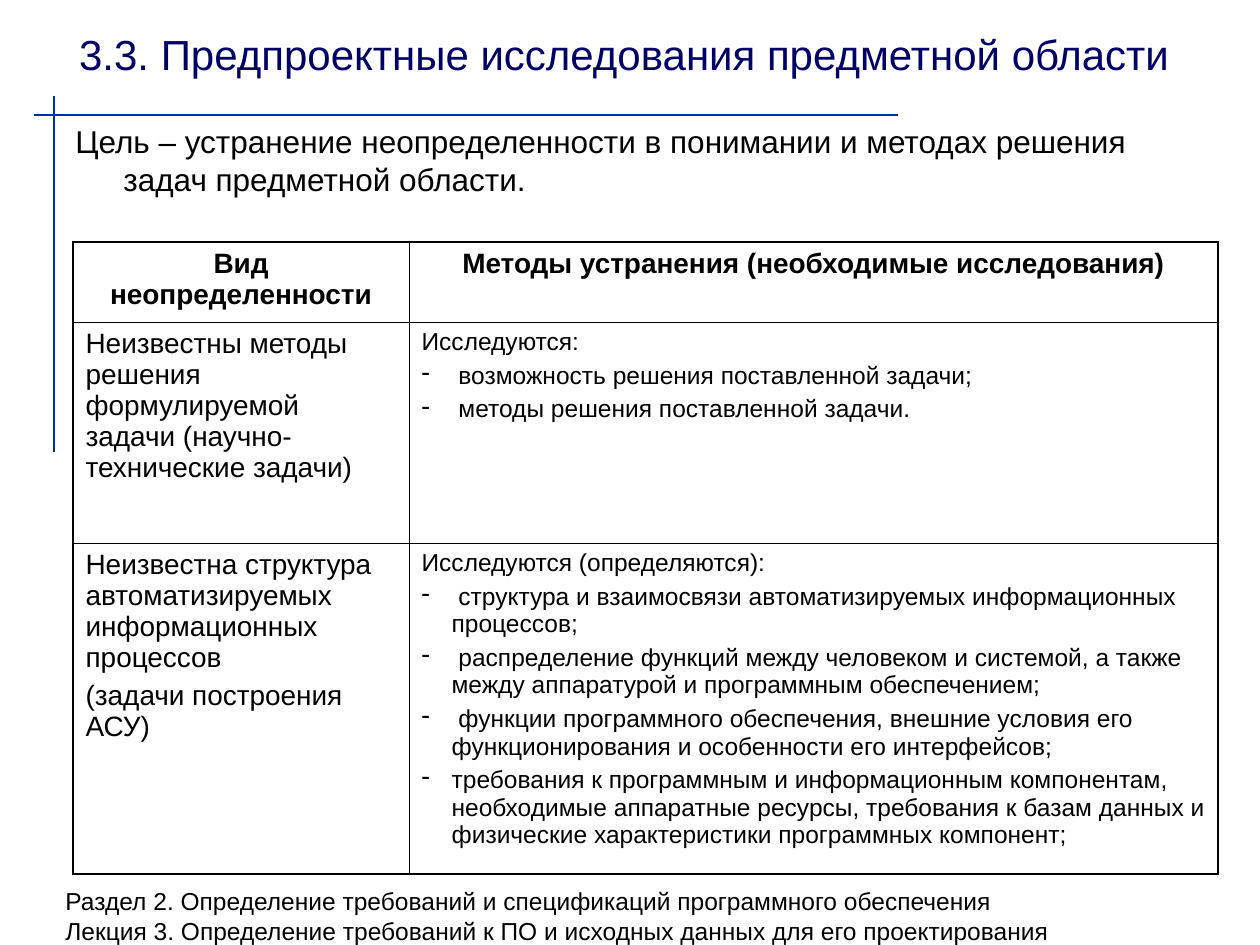
from dataclasses import dataclass

from lxml.etree import SubElement
from pptx import Presentation
from pptx.dml.color import RGBColor
from pptx.enum.shapes import MSO_CONNECTOR as Connector
from pptx.enum.text import MSO_ANCHOR as Anchor, PP_ALIGN as Align
from pptx.oxml.ns import qn
from pptx.util import Emu, Pt

PX = 914400 / 126
BLACK = RGBColor(0x00, 0x00, 0x00)
NAVY = RGBColor(0x00, 0x00, 0x66)
RULE_BLUE = RGBColor(0x00, 0x33, 0x99)
FONT = "Arial"
OUTER_PT, INNER_PT = 1.08, 0.45
DASH_INDENT = 30
BODY_INDENT = 48
COLUMNS = (336, 809)
ROWS = (80, 221, 330)


@dataclass(frozen=True)
class Line:
    text: str
    size: int
    color: RGBColor = BLACK
    bold: bool = False
    align: Align = Align.LEFT
    hanging: int = 0
    dash: bool = False
    before: float = 0


@dataclass(frozen=True)
class TextBlock:
    left: int
    top: int
    width: int
    height: int
    lines: tuple[Line, ...]
    anchor: Anchor = Anchor.TOP


@dataclass(frozen=True)
class Rule:
    x1: int
    y1: int
    x2: int
    y2: int


def px(length: int) -> Emu:
    return Emu(round(length * PX))


def heading(text: str) -> Line:
    return Line(text, 16, bold=True, align=Align.CENTER)


def kind(text: str, before: float = 0) -> Line:
    return Line(text, 16, before=before)


def study(text: str) -> Line:
    return Line(text, 14, hanging=DASH_INDENT, dash=True, before=3.5)


RULES = (Rule(34, 115, 898, 115), Rule(54, 96, 54, 452))

BLOCKS = (
    TextBlock(53, 880, 1165, 65, (
        Line("Раздел 2. Определение требований и спецификаций программного обеспечения", 14),
        Line("Лекция 3. Определение требований к ПО и исходных данных для его проектирования", 14),
    )),
    TextBlock(63, 10, 1134, 87, (
        Line("3.3. Предпроектные исследования предметной области ", 24, NAVY, align=Align.CENTER),
    ), Anchor.MIDDLE),
    TextBlock(63, 116, 1134, 139, (
        Line("Цель – устранение неопределенности в понимании и методах решения "
             "задач предметной области.", 18, hanging=BODY_INDENT),
    )),
)

UNCERTAINTIES = (
    ((heading("Вид неопределенности"),),
     (heading("Методы устранения (необходимые исследования)"),)),
    ((kind("Неизвестны методы решения формулируемой задачи (научно-технические задачи)"),),
     (Line("Исследуются:", 14),
      study(" возможность решения поставленной задачи;"),
      study(" методы решения поставленной задачи."))),
    ((kind("Неизвестна структура автоматизируемых информационных процессов"),
      kind("(задачи построения АСУ)", before=4)),
     (Line("Исследуются (определяются):", 14),
      study(" структура и взаимосвязи автоматизируемых информационных процессов;"),
      study(" распределение функций между человеком и системой, а также "
            "между аппаратурой и программным обеспечением;"),
      study(" функции программного обеспечения, внешние условия его "
            "функционирования и особенности его интерфейсов;"),
      study("требования к программным и информационным компонентам, "
            "необходимые аппаратные ресурсы, требования к базам данных и "
            "физические характеристики программных компонент;"))),
)


def write_lines(frame, lines: tuple[Line, ...]) -> None:
    frame.text = "\n".join(line.text for line in lines)
    for paragraph, line in zip(frame.paragraphs, lines):
        paragraph.alignment = line.align
        if line.before:
            paragraph.space_before = Pt(line.before)
        props = paragraph._p.get_or_add_pPr()
        if line.hanging:
            props.set("marL", str(px(line.hanging)))
            props.set("indent", str(-px(line.hanging)))
        if line.dash:
            SubElement(props, qn("a:buChar"), char="-")
        for run in paragraph.runs:
            run.font.name = FONT
            run.font.size = Pt(line.size)
            run.font.bold = line.bold
            run.font.color.rgb = line.color


def draw_block(slide, block: TextBlock) -> None:
    box = slide.shapes.add_textbox(
        px(block.left), px(block.top), px(block.width), px(block.height))
    box.text_frame.word_wrap = True
    box.text_frame.vertical_anchor = block.anchor
    write_lines(box.text_frame, block.lines)


def draw_rule(slide, rule: Rule) -> None:
    connector = slide.shapes.add_connector(
        Connector.STRAIGHT, px(rule.x1), px(rule.y1), px(rule.x2), px(rule.y2))
    connector.line.color.rgb = RULE_BLUE
    connector.line.width = Pt(1)
    SubElement(connector._element.spPr, qn("a:effectLst"))


def draw_borders(cell, row: int, column: int) -> None:
    outer_sides = {
        "a:lnL": column == 0,
        "a:lnR": column == len(COLUMNS) - 1,
        "a:lnT": row == 0,
        "a:lnB": row == len(ROWS) - 1,
    }
    props = cell._tc.get_or_add_tcPr()
    for side, outer in outer_sides.items():
        width = Pt(OUTER_PT if outer else INNER_PT)
        border = SubElement(props, qn(side), w=str(width))
        fill = SubElement(border, qn("a:solidFill"))
        SubElement(fill, qn("a:srgbClr"), val=str(BLACK))


def draw_table(slide, left: int, top: int) -> None:
    table = slide.shapes.add_table(
        len(ROWS), len(COLUMNS), px(left), px(top), px(sum(COLUMNS)), px(sum(ROWS))).table
    table.first_row = False
    table.horz_banding = False
    for column, width in zip(table.columns, COLUMNS):
        column.width = px(width)
    for row, height in zip(table.rows, ROWS):
        row.height = px(height)
    for row, entries in enumerate(UNCERTAINTIES):
        for column, lines in enumerate(entries):
            cell = table.cell(row, column)
            write_lines(cell.text_frame, lines)
            draw_borders(cell, row, column)
            cell.fill.background()


def main() -> None:
    deck = Presentation()
    deck.slide_width, deck.slide_height = px(1260), px(945)
    slide = deck.slides.add_slide(deck.slide_layouts[6])
    for rule in RULES:
        draw_rule(slide, rule)
    for block in BLOCKS:
        draw_block(slide, block)
    draw_table(slide, 73, 242)
    deck.save("out.pptx")


if __name__ == "__main__":
    main()
